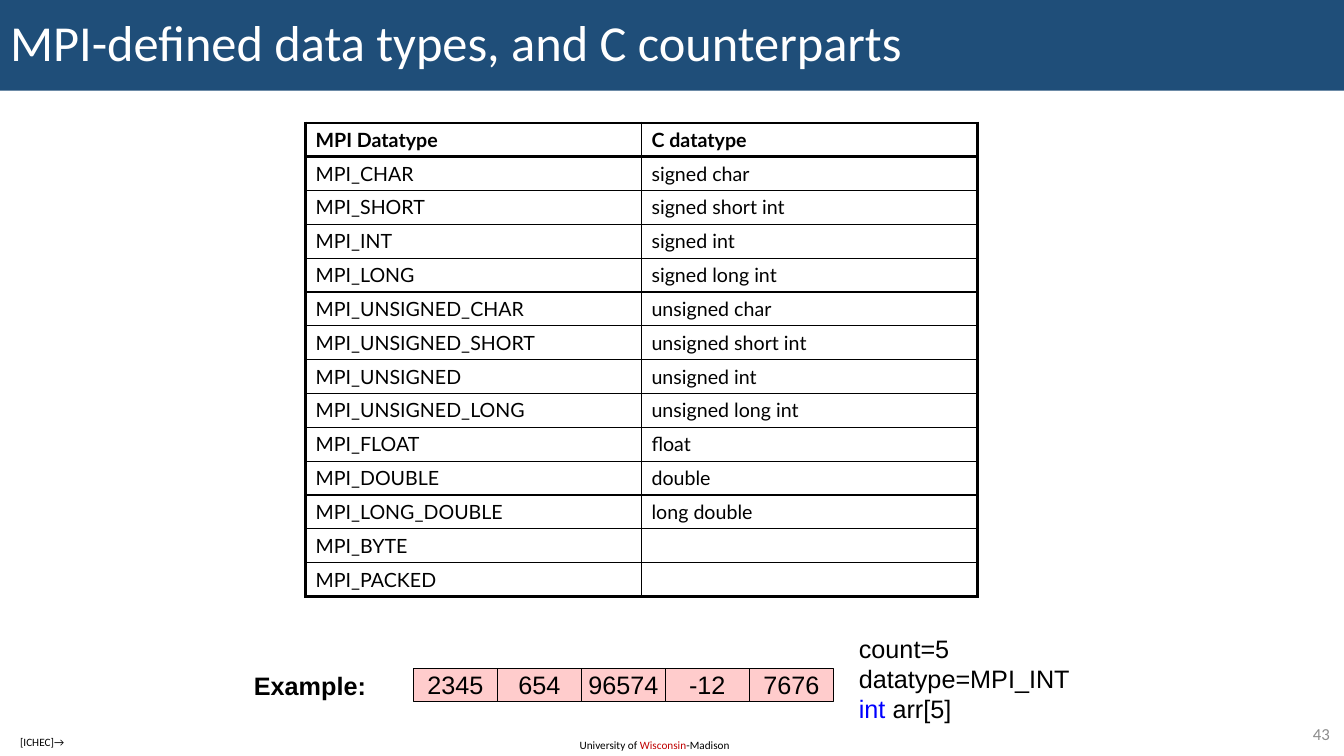
"""Build the slide on MPI data types and their C counterparts."""
from dataclasses import dataclass

from lxml.etree import SubElement as Sub
from pptx import Presentation
from pptx.dml.color import RGBColor as Rgb
from pptx.enum.shapes import MSO_SHAPE as Shape
from pptx.enum.text import MSO_ANCHOR as Anchor, MSO_AUTO_SIZE as Fit, PP_ALIGN as Align
from pptx.oxml.ns import qn
from pptx.util import Inches, Pt


@dataclass
class Theme:
    navy: str = "1F4E79"
    white: str = "FFFFFF"
    black: str = "000000"
    red: str = "C00000"
    blue: str = "0000FF"
    pink: str = "FFCCCC"
    gray: str = "8C8C8C"
    head: int = 36
    body: int = 18
    cell: int = 14
    page: int = 12
    foot: int = 8
    thick: float = 2.25
    thin: float = 1


def write(frame, *lines, font="Calibri", size=18, color="000000", bold=False,
          align=Align.LEFT, anchor=Anchor.TOP, wrap=True, space=None):
    """Fill a text frame; each line is a string or a list of (text, color) runs."""
    frame.auto_size = Fit.NONE
    frame.word_wrap = wrap
    frame.vertical_anchor = anchor
    for i, line in enumerate(lines):
        para = frame.add_paragraph() if i else frame.paragraphs[0]
        para.alignment = align
        para.line_spacing = space
        for text, tint in [(line, color)] if isinstance(line, str) else line:
            run = para.add_run()
            run.text = text
            run.font.name = font
            run.font.size = Pt(size)
            run.font.bold = bold
            run.font.color.rgb = Rgb.from_string(tint)


def edge(cell, side, width, color):
    """Draw one border of a table cell."""
    line = Sub(cell._tc.get_or_add_tcPr(), qn(f"a:ln{side}"), w=str(Pt(width)))
    Sub(Sub(line, qn("a:solidFill")), qn("a:srgbClr"), val=color)


look = Theme()
deck = Presentation()
deck.slide_width, deck.slide_height = Inches(13.33), Inches(7.5)
wide, high = deck.slide_width, deck.slide_height
col = wide // 16
slide = deck.slides.add_slide(deck.slide_layouts[5])

title = slide.shapes.title
title.left, title.top, title.width, title.height = 0, 0, wide, int(high * 0.12)
title.fill.solid()
title.fill.fore_color.rgb = Rgb.from_string(look.navy)
write(title.text_frame, "MPI-defined data types, and C counterparts", size=look.head,
      color=look.white, anchor=Anchor.MIDDLE, space=0.9)

types = [
    ("MPI Datatype", "C datatype"),
    ("MPI_CHAR", "signed char"),
    ("MPI_SHORT", "signed short int"),
    ("MPI_INT", "signed int"),
    ("MPI_LONG", "signed long int"),
    ("MPI_UNSIGNED_CHAR", "unsigned char"),
    ("MPI_UNSIGNED_SHORT", "unsigned short int"),
    ("MPI_UNSIGNED", "unsigned int"),
    ("MPI_UNSIGNED_LONG", "unsigned long int"),
    ("MPI_FLOAT", "float"),
    ("MPI_DOUBLE", "double"),
    ("MPI_LONG_DOUBLE", "long double"),
    ("MPI_BYTE", ""),
    ("MPI_PACKED", ""),
]
last = len(types) - 1
grid = slide.shapes.add_table(len(types), 2, Inches(3.03), Inches(1.22),
                              col * 8, Inches(4.7)).table
grid.first_row = grid.horz_banding = False
for r, row in enumerate(types):
    for c, text in enumerate(row):
        cell = grid.cell(r, c)
        if text:
            write(cell.text_frame, text, font="Lato", size=look.cell,
                  color=look.black, bold=r == 0)
        else:
            cell.text_frame.paragraphs[0]._p.get_or_add_endParaRPr().set(
                "sz", str(look.cell * 100))
        heavy = {"L": c == 0, "R": c == 1, "T": r < 2, "B": r in (0, last)}
        for side, bold in heavy.items():
            edge(cell, side, look.thick if bold else look.thin, look.black)
        cell.fill.solid()
        cell.fill.fore_color.rgb = Rgb.from_string(look.white)

array = slide.shapes.add_group_shape()
for i, num in enumerate(["2345", "654", "96574", "-12", "7676"]):
    box = array.shapes.add_shape(Shape.RECTANGLE, Inches(4.1) + i * col, Inches(6.63),
                                 col, Inches(0.33))
    box.shadow.inherit = False
    box.fill.solid()
    box.fill.fore_color.rgb = Rgb.from_string(look.pink)
    box.line.color.rgb = Rgb.from_string(look.black)
    box.line.width = Pt(look.thin)
    write(box.text_frame, num, font="Arial", size=look.body, color=look.black,
          align=Align.CENTER, anchor=Anchor.MIDDLE, wrap=False)

code = dict(font="Arial", size=look.body)
foot = dict(size=look.foot)
school = [("University of ", look.black), ("Wisconsin", look.red), ("-Madison", look.black)]
array_type = [("int ", look.blue), ("arr[5]", look.black)]
notes = [
    ((8.42, 6.23, 2.42, 1.01), ["count=5", "datatype=MPI_INT", array_type], code),
    ((2.42, 6.6, 1.32, 0.4), ["Example:"], dict(code, bold=True, wrap=False)),
    ((0.1, 7.25, 0.72, 0.24), ["[ICHEC]→"], foot),
    ((5.65, 7.28, 1.72, 0.24), [school], foot),
    ((12.53, 7.13, 0.76, 0.29), ["43"],
     dict(size=look.page, color=look.gray, align=Align.RIGHT, anchor=Anchor.MIDDLE)),
]
for place, lines, form in notes:
    box = slide.shapes.add_textbox(*map(Inches, place))
    write(box.text_frame, *lines, **form)

deck.save("out.pptx")
